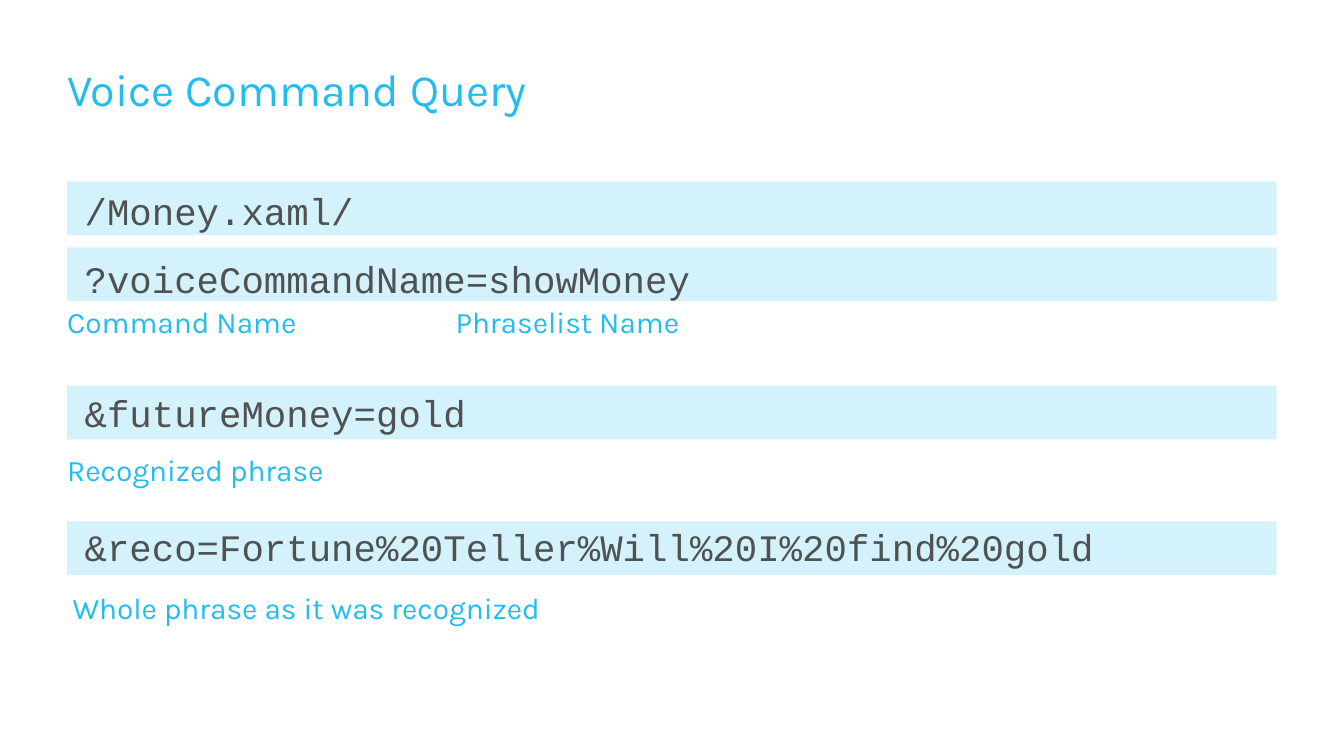
from dataclasses import dataclass

from pptx import Presentation
from pptx import util as u
from pptx.dml.color import RGBColor
from pptx.enum import shapes, text


@dataclass(frozen=True)
class Theme:
    accent: RGBColor = RGBColor.from_string("22BDEF")
    band: RGBColor = RGBColor.from_string("D3F2FC")
    code: RGBColor = RGBColor.from_string("505151")
    body_font: str = "Karla"
    code_font: str = "Courier New"
    title_size: int = 24
    code_size: int = 20
    label_size: int = 16


THEME = Theme()
MARGIN = 0.5
BAND_WIDTH, BAND_HEIGHT = 9, 0.4
BAND_TOPS = (1.35, 1.84, 2.87, 3.88)

# Code line and the space before it, in points
CODE_LINES = (
    ("/Money.xaml/", 0),
    ("?voiceCommandName=showMoney", 6),
    ("&futureMoney=gold", 42),
    ("&reco=Fortune%20Teller%Will%20I%20find%20gold", 42),
)

# Label, left, top, width
LABELS = (
    ("Command Name", MARGIN, 2.26, 2.32),
    ("Phraselist Name", 3.39, 2.26, 3.04),
    ("Recognized phrase", MARGIN, 3.36, 4.55),
    ("Whole phrase as it was recognized", 0.54, 4.39, 6.26),
)


def add_band(page, top):
    band = page.shapes.add_shape(
        shapes.MSO_SHAPE.RECTANGLE, u.Inches(MARGIN), u.Inches(top),
        u.Inches(BAND_WIDTH), u.Inches(BAND_HEIGHT))
    band.shadow.inherit = False
    band.fill.solid()
    band.fill.fore_color.rgb = THEME.band
    band.line.fill.background()


def add_box(page, left, top, width, height):
    """Add an empty wrapping text box without insets; return its frame."""
    box = page.shapes.add_textbox(
        u.Inches(left), u.Inches(top), u.Inches(width), u.Inches(height))
    frame = box.text_frame
    frame.word_wrap = True
    frame.vertical_anchor = text.MSO_ANCHOR.TOP
    frame.margin_left = frame.margin_right = 0
    frame.margin_top = frame.margin_bottom = 0
    return frame


def write(para, words, font, size, color):
    para.text = words
    for span in para.runs:
        span.font.name = font
        span.font.size = u.Pt(size)
        span.font.color.rgb = color


def add_title(page, words):
    para = add_box(page, MARGIN, 0.44, BAND_WIDTH, 0.39).paragraphs[0]
    para.line_spacing = 1.05
    write(para, words, THEME.body_font, THEME.title_size, THEME.accent)


def add_code(page, lines):
    frame = add_box(page, 0.63, 1.32, BAND_WIDTH, 3.72)
    for index, (words, gap) in enumerate(lines):
        para = frame.add_paragraph() if index else frame.paragraphs[0]
        para.line_spacing = u.Pt(30)
        para.space_before = u.Pt(gap)
        write(para, words, THEME.code_font, THEME.code_size, THEME.code)


def add_label(page, words, left, top, width):
    para = add_box(page, left, top, width, 0.27).paragraphs[0]
    write(para, words, THEME.body_font, THEME.label_size, THEME.accent)


def main():
    # Widescreen deck, 16:9
    deck = Presentation()
    deck.slide_width = u.Inches(10)
    deck.slide_height = u.Inches(10 * 9 / 16)
    page = deck.slides.add_slide(deck.slide_layouts[6])

    # Heading
    add_title(page, "Voice Command Query")

    # Query parts on their bands
    for top in BAND_TOPS:
        add_band(page, top)
    add_code(page, CODE_LINES)

    # Explanations under the bands
    for label in LABELS:
        add_label(page, *label)

    deck.save("out.pptx")


if __name__ == "__main__":
    main()
